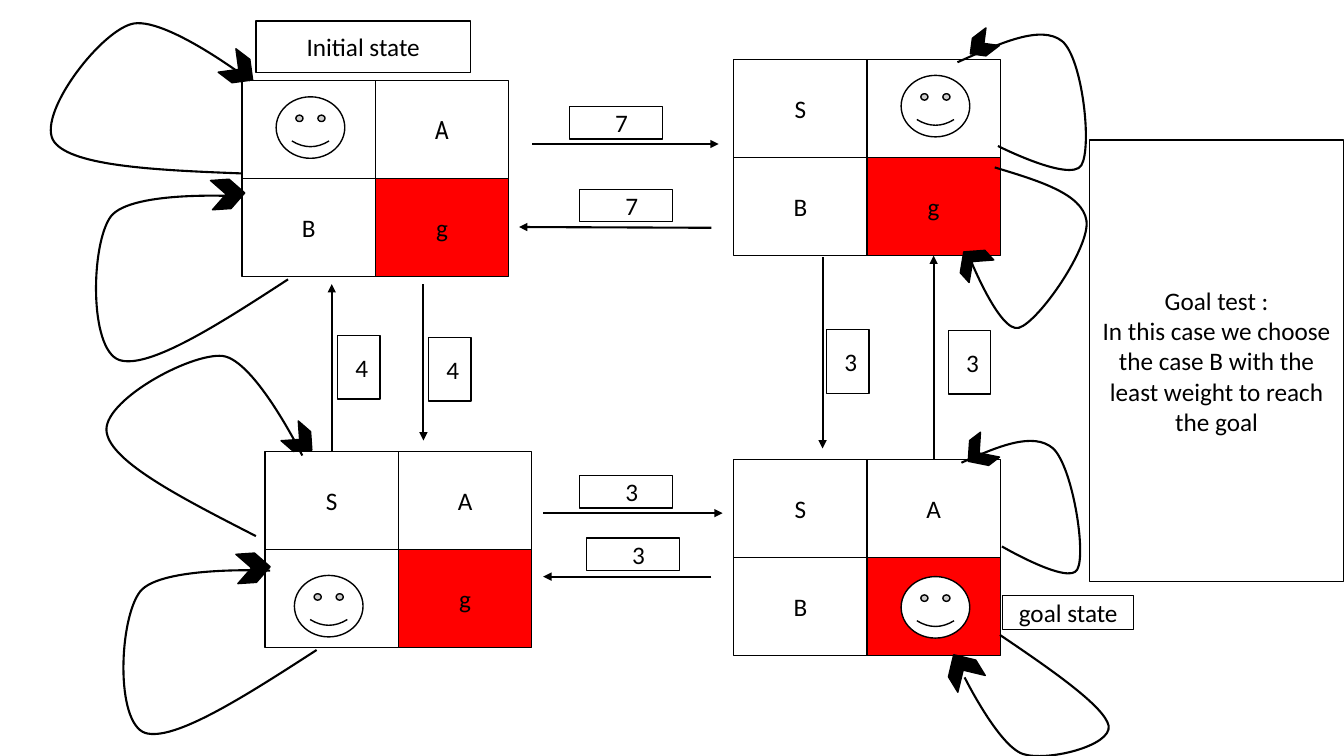
from dataclasses import dataclass
from typing import Optional

import lxml.etree
import pptx
import pptx.dml.color
import pptx.enum.shapes
import pptx.enum.text
import pptx.oxml.ns
import pptx.util

Cm = pptx.util.Cm
Shapes = pptx.enum.shapes.MSO_SHAPE
Point = tuple[float, float]
TileKey = tuple[str, int]


@dataclass(frozen=True)
class Theme:
    black = pptx.dml.color.RGBColor(0, 0, 0)
    white = pptx.dml.color.RGBColor(255, 255, 255)
    goal = pptx.dml.color.RGBColor(255, 0, 0)
    font: str = "Calibri"
    accent_font: str = "Roboto Condensed"
    text_size = pptx.util.Pt(18)
    outline = pptx.util.Pt(1)
    arrow = pptx.util.Pt(1.5)


@dataclass(frozen=True)
class Box:
    left: float
    top: float
    width: float
    height: float


@dataclass(frozen=True)
class Board:
    name: str
    left: float
    top: float
    letters: tuple[str, str, str, str]
    face: Point


@dataclass(frozen=True)
class Transition:
    start: Point
    end: Point
    weight: str
    label: Point
    start_tile: Optional[TileKey] = None
    end_tile: Optional[TileKey] = None


@dataclass(frozen=True)
class Loop:
    points: tuple[Point, ...]
    head: Box
    rotation: float


@dataclass(frozen=True)
class Caption:
    text: str
    box: Box


THEME = Theme()
TILE_WIDTH, TILE_HEIGHT = 3.36, 2.47
FACE_WIDTH, FACE_HEIGHT = 1.73, 1.55

BOARDS = (
    Board("initial", 6.1, 2.03, ("", "A", "B", "g"), (6.96, 2.44)),
    Board("at A", 18.49, 1.5, ("S", "", "B", "g"), (22.71, 1.9)),
    Board("at B", 6.68, 11.38, ("S", "A", "", "g"), (7.42, 14.5)),
    Board("goal", 18.49, 11.58, ("S", "A", "B", ""), (22.71, 14.53)),
)

TRANSITIONS = (
    Transition((13.41, 3.63), (18.11, 3.63), "7", (14.35, 2.69)),
    Transition((17.93, 5.74), (13.08, 5.72), "7", (14.61, 4.78)),
    Transition((17.93, 14.53), (13.69, 14.53), "3", (14.78, 13.56)),
    Transition((13.69, 12.93), (18.21, 12.93), "3", (14.61, 11.99)),
    Transition((23.53, 11.58), (23.53, 6.44), "3", (23.9, 8.33), ("goal", 1), ("at A", 3)),
    Transition((20.73, 6.48), (20.73, 11.3), "3", (20.83, 8.31)),
    Transition((10.67, 7.16), (10.67, 11.1), "4", (10.8, 8.51)),
    Transition((8.36, 11.38), (8.36, 7.16), "4", (8.51, 8.46), ("at B", 0)),
)

LOOPS = (
    Loop(((6.07, 4.37), (3.96, 4.29), (1.83, 4.19), (1.37, 3.58), (0.89, 2.95),
          (2.46, 0.86), (3.3, 0.61), (4.11, 0.36), (6.3, 2.03)),
         Box(5.64, 1.4, 0.81, 0.74), 37.2),
    Loop(((7.26, 7.04), (5.51, 8.18), (3.73, 9.32), (3, 9.07), (2.24, 8.79),
          (2.29, 6.15), (2.79, 5.46), (3.3, 4.78), (6.07, 4.95)),
         Box(5.33, 4.52, 0.84, 0.74), 356.2),
    Loop(((6.45, 13.51), (4.62, 12.57), (2.82, 11.66), (2.69, 10.9), (2.54, 10.13),
          (4.78, 8.89), (5.61, 8.97), (6.43, 9.07), (7.62, 11.48)),
         Box(7.21, 10.77, 0.74, 0.66), 41),
    Loop(((7.98, 16.38), (6.17, 17.55), (4.39, 18.69), (3.66, 18.47), (2.9, 18.21),
          (3, 15.6), (3.53, 14.91), (4.04, 14.25), (6.81, 14.38)),
         Box(5.97, 13.94, 0.84, 0.74), 356.2),
    Loop(((24.13, 1.57), (25.2, 1.09), (26.24, 0.61), (26.77, 1.04), (27.28, 1.47),
          (27.53, 3.71), (27.25, 4.17), (26.97, 4.6), (25.15, 3.68)),
         Box(24.38, 0.86, 0.71, 0.56), 142.6),
    Loop(((25.07, 4.22), (26.16, 4.55), (27.28, 4.88), (27.38, 5.56), (27.48, 6.22),
          (26.19, 8.1), (25.68, 8.26), (25.2, 8.41), (24.43, 6.48)),
         Box(24.18, 6.17, 0.66, 0.84), 227.6),
    Loop(((24.23, 11.66), (25.15, 11.25), (26.04, 10.87), (26.54, 11.3), (27.03, 11.76),
          (27.38, 13.94), (27.15, 14.35), (26.95, 14.76), (25.25, 13.77)),
         Box(24.33, 11.02, 0.69, 0.79), 142.6),
    Loop(((25.2, 16), (26.52, 16.89), (27.84, 17.81), (27.94, 18.29), (28.02, 18.8),
          (26.37, 19.2), (25.78, 19), (25.17, 18.8), (24.31, 17.07)),
         Box(23.83, 16.46, 0.86, 0.81), 238.5),
)

CAPTIONS = (
    Caption("Initial state", Box(6.45, 0.53, 5.41, 1.3)),
    Caption("Goal test :\nIn this case we choose the case B with the least weight to reach the goal",
            Box(27.46, 3.53, 6.4, 11.13)),
    Caption("goal state", Box(25.27, 15.01, 3.3, 0.86)),
)


def draw_shape(slide, kind, box: Box, fill=THEME.white, text: str = "", font: str = THEME.font):
    shape = slide.shapes.add_shape(kind, Cm(box.left), Cm(box.top), Cm(box.width), Cm(box.height))
    shape.shadow.inherit = False
    shape.fill.solid()
    shape.fill.fore_color.rgb = fill
    shape.line.color.rgb = THEME.black
    shape.line.width = THEME.outline
    if text:
        shape.text_frame.text = text
        shape.text_frame.word_wrap = True
        shape.text_frame.vertical_anchor = pptx.enum.text.MSO_ANCHOR.MIDDLE
        for paragraph in shape.text_frame.paragraphs:
            paragraph.alignment = pptx.enum.text.PP_ALIGN.CENTER
            for run in paragraph.runs:
                run.font.name = font
                run.font.size = THEME.text_size
                run.font.color.rgb = THEME.black
    return shape


def draw_board(slide, board: Board) -> dict:
    tiles = {}
    for index, letter in enumerate(board.letters):
        row, column = divmod(index, 2)
        box = Box(board.left + column * TILE_WIDTH, board.top + row * TILE_HEIGHT, TILE_WIDTH, TILE_HEIGHT)
        fill = THEME.goal if index == 3 else THEME.white
        font = THEME.accent_font if (board.name, letter) == ("initial", "A") else THEME.font
        tiles[board.name, index] = draw_shape(slide, Shapes.RECTANGLE, box, fill, letter, font)
    draw_shape(slide, Shapes.SMILEY_FACE, Box(*board.face, FACE_WIDTH, FACE_HEIGHT))
    return tiles


def draw_transition(slide, transition: Transition, tiles: dict) -> None:
    ends = [Cm(value) for value in transition.start + transition.end]
    connector = slide.shapes.add_connector(pptx.enum.shapes.MSO_CONNECTOR.STRAIGHT, *ends)
    if transition.start_tile:
        connector.begin_connect(tiles[transition.start_tile], 0)
    if transition.end_tile:
        connector.end_connect(tiles[transition.end_tile], 2)
    connector.line.color.rgb = THEME.black
    connector.line.width = THEME.arrow
    line = connector.line._get_or_add_ln()
    lxml.etree.SubElement(line, pptx.oxml.ns.qn("a:tailEnd"), type="triangle")
    lxml.etree.SubElement(connector._element.spPr, pptx.oxml.ns.qn("a:effectLst"))

    vertical = transition.start[0] == transition.end[0]
    width, height, inset = (1.07, 1.6, 0.4) if vertical else (2.34, 0.81, 0.54)
    label = draw_shape(slide, Shapes.RECTANGLE, Box(*transition.label, width, height), text=transition.weight)
    label.text_frame.margin_left = Cm(inset)


def draw_loop(slide, loop: Loop) -> None:
    points = [(Cm(x), Cm(y)) for x, y in loop.points + loop.points[-1:]]
    builder = slide.shapes.build_freeform(*points[0])
    builder.add_line_segments(points[1:], close=False)
    curve = builder.convert_to_shape()
    curve.shadow.inherit = False
    curve.fill.background()
    curve.line.color.rgb = THEME.black
    curve.line.width = THEME.arrow
    segments = list(curve._element.iter(pptx.oxml.ns.qn("a:lnTo")))
    for first in range(0, len(segments), 3):
        bezier = lxml.etree.Element(pptx.oxml.ns.qn("a:cubicBezTo"))
        segments[first].addprevious(bezier)
        for segment in segments[first:first + 3]:
            bezier.append(segment[0])
            segment.getparent().remove(segment)
    draw_shape(slide, Shapes.CHEVRON, loop.head, THEME.black).rotation = loop.rotation


def main() -> None:
    presentation = pptx.Presentation()
    presentation.slide_width, presentation.slide_height = Cm(33.87), Cm(19.05)
    slide = presentation.slides.add_slide(presentation.slide_layouts[6])
    tiles = {}
    for board in BOARDS:
        tiles.update(draw_board(slide, board))
    for transition in TRANSITIONS:
        draw_transition(slide, transition, tiles)
    for loop in LOOPS:
        draw_loop(slide, loop)
    for caption in CAPTIONS:
        draw_shape(slide, Shapes.RECTANGLE, caption.box, text=caption.text)
    presentation.save("out.pptx")


if __name__ == "__main__":
    main()
